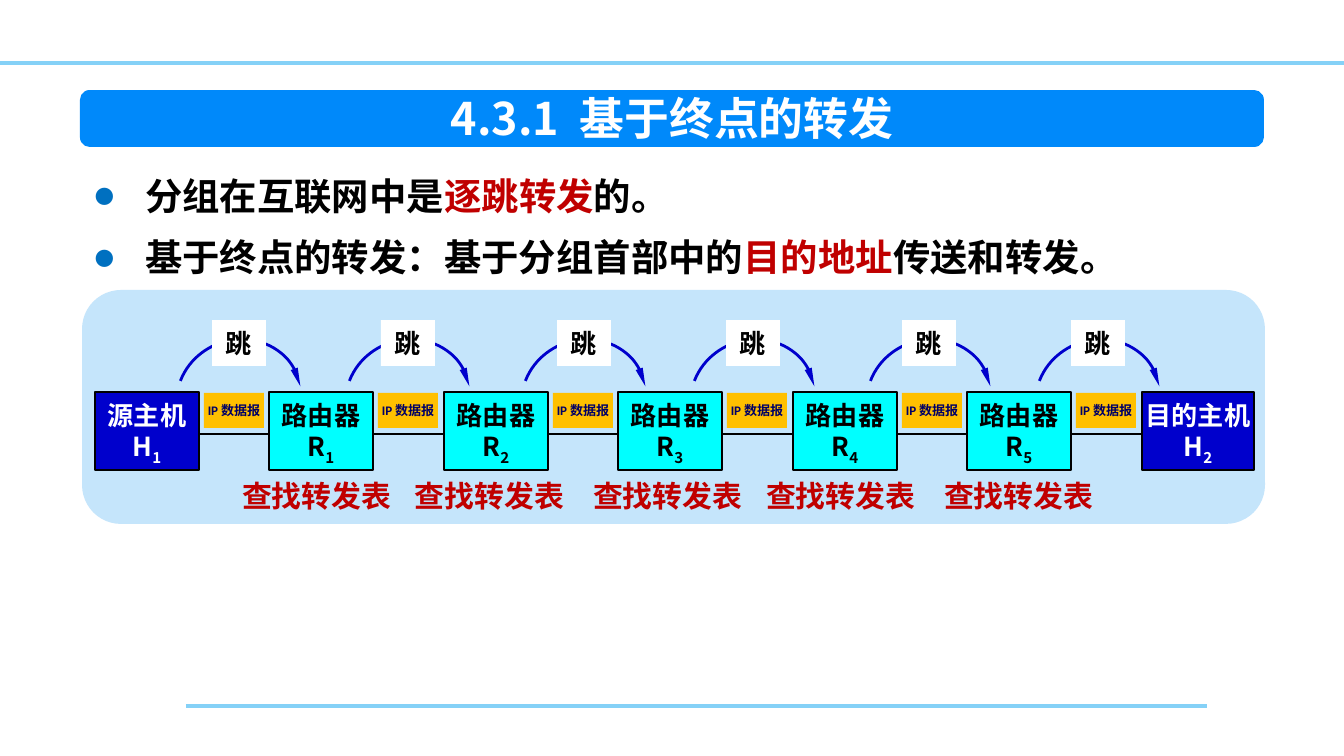
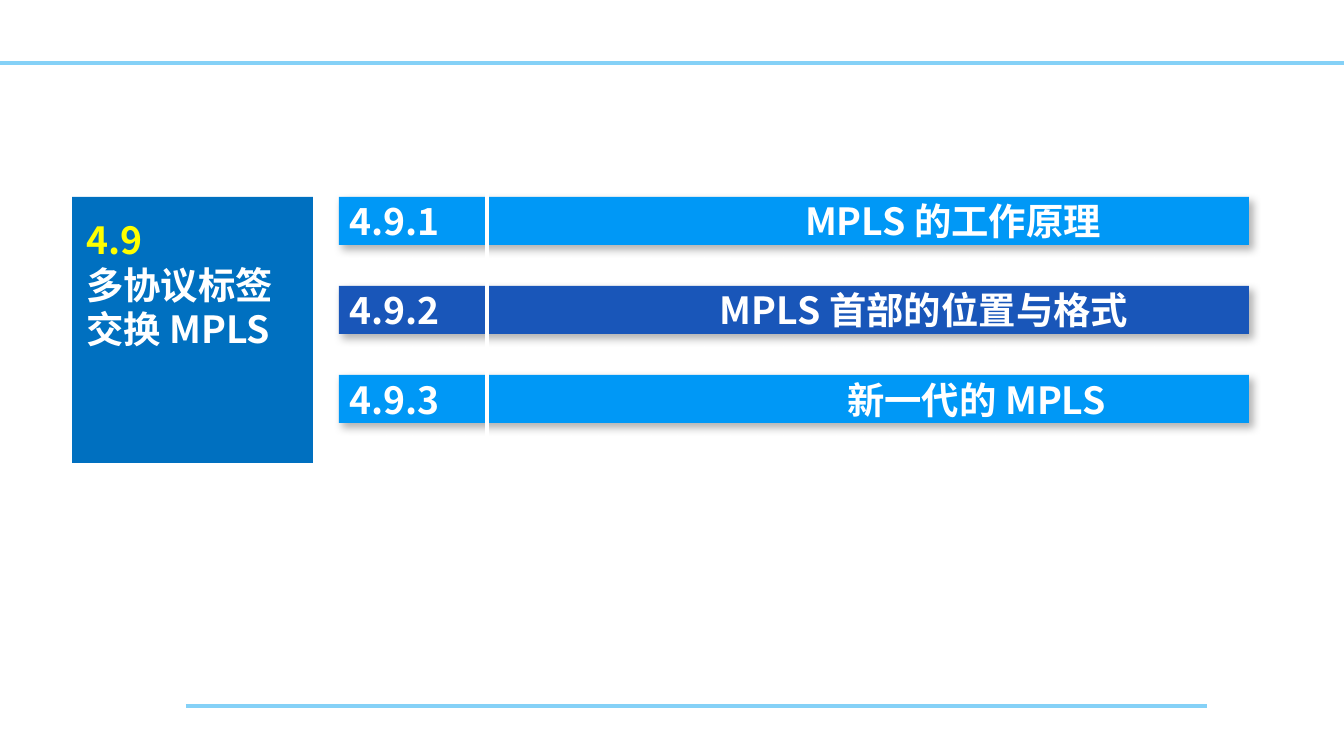
from dataclasses import dataclass

from lxml import etree
from pptx import Presentation
from pptx import util as u
from pptx.dml.color import RGBColor
from pptx.enum import shapes, text
from pptx.oxml.ns import qn

PX = 914400 / 134.4
SHAPE = shapes.MSO_SHAPE
ALIGN = text.PP_ALIGN
ANCHOR = text.MSO_ANCHOR


@dataclass(frozen=True)
class Theme:
    font: str = "Noto Sans CJK SC"
    small_font: str = "Calibri"
    title_size: int = 24
    body_size: int = 20
    lookup_size: int = 16
    node_size: int = 14
    datagram_size: int = 7
    white: str = "FFFFFF"
    black: str = "000000"
    rule: str = "85D1F7"
    title_bar: str = "0089FA"
    bullet: str = "0070C0"
    emphasis: str = "C00000"
    network: str = "C5E5FB"
    host: str = "0000CC"
    router: str = "00FFFF"
    datagram: str = "FFC000"
    datagram_text: str = "000066"
    section: str = "0070C0"
    section_number: str = "FFFF00"
    row: str = "0098F6"
    current_row: str = "1956B9"


THEME = Theme()
SUBSCRIPT = {"baseline": -25000}
WIDE = {"spc": 560}


# Basic helpers

def px(length):
    return u.Emu(round(length * PX))


def apply(target, values):
    for name, value in values.items():
        setattr(target, name, value)


def place(shape, box):
    apply(shape, dict(zip(("left", "top", "width", "height"), map(px, box))))


def paired(index, step, pair):
    """Offset in a row whose gaps alternate within pairs."""
    return index // 2 * pair + index % 2 * step


def child(parent, tag, **attributes):
    element = etree.SubElement(parent, qn(tag))
    for name, value in attributes.items():
        element.set(name, str(value))
    return element


def add_line(slide, start, end, colour, width):
    line = slide.shapes.add_connector(
        shapes.MSO_CONNECTOR.STRAIGHT, *map(px, start + end))
    line.line.color.rgb = RGBColor.from_string(colour)
    line.line.width = u.Pt(width)
    child(line.element.spPr, "a:effectLst")
    return line


def add_block(slide, kind, box, fill=None, outline=None, width=0.75):
    block = slide.shapes.add_shape(kind, *map(px, box))
    block.shadow.inherit = False
    if fill:
        block.fill.solid()
        block.fill.fore_color.rgb = RGBColor.from_string(fill)
    else:
        block.fill.background()
    if outline:
        block.line.color.rgb = RGBColor.from_string(outline)
        block.line.width = u.Pt(width)
    else:
        block.line.fill.background()
    return block


# Text: a paragraph is a list of runs, a run is (text, colour[, attributes])

def write(frame, paragraphs, size, font=THEME.font, align=ALIGN.CENTER,
          anchor=ANCHOR.MIDDLE, wrap=False, margins=(0, 0),
          spacing=None, gap=0, decorate=None):
    across, down = map(px, margins)
    apply(frame, {
        "auto_size": text.MSO_AUTO_SIZE.NONE, "word_wrap": wrap,
        "vertical_anchor": anchor, "margin_left": across,
        "margin_right": across, "margin_top": down, "margin_bottom": down})
    for index, runs in enumerate(paragraphs):
        paragraph = frame.paragraphs[0] if index == 0 else frame.add_paragraph()
        if decorate:
            decorate(paragraph, index)
        apply(paragraph, {
            "alignment": align, "line_spacing": u.Pt(spacing or size * 1.2),
            "space_before": u.Pt(gap if index else 0)})
        for words, colour, *extras in runs:
            run = paragraph.add_run()
            run.text = words
            apply(run.font, {"size": u.Pt(size), "bold": True, "name": font})
            run.font.color.rgb = RGBColor.from_string(colour)
            properties = run.font._element
            child(properties, "a:ea", typeface=THEME.font)
            for attributes in extras:
                for name, value in attributes.items():
                    properties.set(name, str(value))


def fill_placeholder(slide, placeholder, box, paragraphs, size, **layout):
    place(placeholder, box)
    slide.shapes.element.append(placeholder.element)  # in front of its panel
    write(placeholder.text_frame, paragraphs, size, **layout)


# Shared frame

def add_master_rules(presentation, slide):
    rules = (((186, 706), (1207, 706), 2), ((0, 63), (1344, 63), 2))
    for number, (start, end, width) in enumerate(rules, 101):
        rule = add_line(slide, start, end, THEME.rule, width).element
        rule.nvCxnSpPr.cNvPr.set("id", str(number))
        presentation.slide_master.shapes.element.append(rule)


# Forwarding slide

def add_title_bar(slide, box):
    bar = add_block(slide, SHAPE.ROUNDED_RECTANGLE, box, THEME.title_bar)
    bar.adjustments[0] = 0.17
    left, top, width, height = box
    title = [("4.3.1", THEME.white), (" ", THEME.white, WIDE),
             ("基于终点的转发", THEME.white)]
    fill_placeholder(slide, slide.shapes.title, (left, top - 1, width, height),
                     [title], THEME.title_size)


def add_bullet(paragraph, index):
    properties = paragraph._p.get_or_add_pPr()
    indent = px(52)
    properties.set("marL", str(indent))
    properties.set("indent", str(-indent))
    child(child(properties, "a:buClr"), "a:srgbClr", val=THEME.bullet)
    child(properties, "a:buFont", typeface=THEME.small_font)
    child(properties, "a:buChar", char="●")


def add_key_points(slide, box):
    points = [
        [("分组在互联网中是", THEME.black), ("逐跳转发", THEME.emphasis),
         ("的。", THEME.black)],
        [("基于终点的转发：基于分组首部中的", THEME.black),
         ("目的地址", THEME.emphasis), ("传送和转发。", THEME.black)],
    ]
    fill_placeholder(slide, slide.placeholders[1], box, points, THEME.body_size,
                     align=ALIGN.LEFT, anchor=ANCHOR.TOP, wrap=True,
                     margins=(13, 7), spacing=33, decorate=add_bullet)


def add_node(slide, box, name, letter, number, fill, colour):
    node = add_block(slide, SHAPE.RECTANGLE, box, fill, THEME.black)
    write(node.text_frame,
          [[(name, colour)], [(letter, colour), (number, colour, SUBSCRIPT)]],
          THEME.node_size, spacing=19)


def add_hop(slide, left, top):
    arc = add_block(slide, SHAPE.ARC, (left, top + 20, 126, 118),
                    outline=THEME.host, width=1.5)
    arc.rotation = 336.5
    arc.adjustments[0], arc.adjustments[1] = 132.39, 7.13
    child(arc.line._get_or_add_ln(), "a:tailEnd",
          type="triangle", w="sm", len="lg")
    label = add_block(slide, SHAPE.RECTANGLE, (left + 36, top, 54, 46),
                      THEME.white)
    write(label.text_frame, [[("跳", THEME.black)]], THEME.node_size)


def add_network(slide, box):
    left, top, width, height = box
    add_block(slide, SHAPE.ROUNDED_RECTANGLE, box, THEME.network)
    add_line(slide, (left + 89, top + 144), (left + 1095, top + 144),
             THEME.black, 1.5)

    # Hosts at both ends, routers between them
    nodes = [("源主机", "H", "1")]
    nodes += [("路由器", "R", str(number)) for number in range(1, 6)]
    nodes += [("目的主机", "H", "2")]
    for index, (name, letter, number) in enumerate(nodes):
        is_host = letter == "H"
        node_box = (left + 13 + paired(index, 174, 349), top + 102,
                    112 if name == "目的主机" else 104, 78)
        add_node(slide, node_box, name, letter, number,
                 THEME.host if is_host else THEME.router,
                 THEME.white if is_host else THEME.black)

    # One hop and one datagram per link
    for index in range(len(nodes) - 1):
        add_hop(slide, left + 94 + paired(index, 169, 345), top + 30)
        datagram = add_block(
            slide, SHAPE.RECTANGLE,
            (left + 122 + paired(index, 174, 349), top + 103, 60, 35),
            THEME.datagram)
        write(datagram.text_frame, [[("IP 数据报", THEME.datagram_text)]],
              THEME.datagram_size, font=THEME.small_font)

    # Table lookup under each router
    for index in range(5):
        lookup_box = (left + 146 + paired(index, 173, 351), top + 181, 177, 50)
        lookup = slide.shapes.add_textbox(*map(px, lookup_box))
        write(lookup.text_frame, [[("查找转发表", THEME.emphasis)]],
              THEME.lookup_size)


def build_forwarding_slide(slide):
    add_title_bar(slide, (80, 90, 1184, 57))
    add_key_points(slide, (80, 149, 1184, 138))
    add_network(slide, (82, 290, 1183, 234))


# Section slide

def add_section_panel(slide, box):
    left, top, width, height = box
    add_block(slide, SHAPE.RECTANGLE, box, THEME.section)
    fill_placeholder(slide, slide.shapes.title, (left + 1, top + 13, 240, 149),
                     [[("4.9", THEME.section_number)],
                      [("多协议标签交换 MPLS", THEME.white)]],
                     THEME.body_size, align=ALIGN.LEFT, anchor=ANCHOR.TOP,
                     wrap=True, margins=(13, 7))


def add_shadow(block):
    effects = block.element.spPr.find(qn("a:effectLst"))
    shadow = child(effects, "a:outerShdw", blurRad=u.Pt(4.5), dist=u.Pt(2.6),
                   dir=53 * 60000, algn="tl", rotWithShape=0)
    colour = child(shadow, "a:srgbClr", val=THEME.black)
    child(colour, "a:alpha", val=30000)


def add_contents(slide, box):
    left, top, width, height = box
    entries = [("4.9.1", "MPLS 的工作原理", 456),
               ("4.9.2", "MPLS 首部的位置与格式", 371),
               ("4.9.3", "新一代的 MPLS", 498)]
    for index in range(len(entries)):
        add_shadow(add_block(
            slide, SHAPE.RECTANGLE, (left, top + 89 * index, width, 48),
            THEME.current_row if index == 1 else THEME.row))

    def add_tab(paragraph, index):
        tabs = child(paragraph._p.get_or_add_pPr(), "a:tabLst")
        child(tabs, "a:tab", pos=px(entries[index][2]), algn="l")

    # A text box, as the placeholder's inherited indent overrides tab stops
    rows = [[(f"{number}\t{name}", THEME.white)] for number, name, _ in entries]
    contents = slide.shapes.add_textbox(
        *map(px, (left - 3, top - 6, width + 28, height)))
    write(contents.text_frame, rows, THEME.body_size, align=ALIGN.LEFT,
          anchor=ANCHOR.TOP, wrap=True, margins=(13, 7), gap=24,
          decorate=add_tab)
    add_line(slide, (left + 148, top - 10), (left + 148, top + 324),
             THEME.white, 2.25)


def build_section_slide(slide):
    add_section_panel(slide, (72, 197, 241, 266))
    add_contents(slide, (339, 197, 910, 285))


def main():
    presentation = Presentation()
    apply(presentation, {"slide_width": px(1344), "slide_height": px(756)})
    title_and_list, title_only = (presentation.slide_layouts[number]
                                  for number in (1, 5))
    forwarding = presentation.slides.add_slide(title_and_list)
    section = presentation.slides.add_slide(title_only)
    add_master_rules(presentation, forwarding)
    build_forwarding_slide(forwarding)
    build_section_slide(section)
    presentation.save("out.pptx")


if __name__ == "__main__":
    main()
